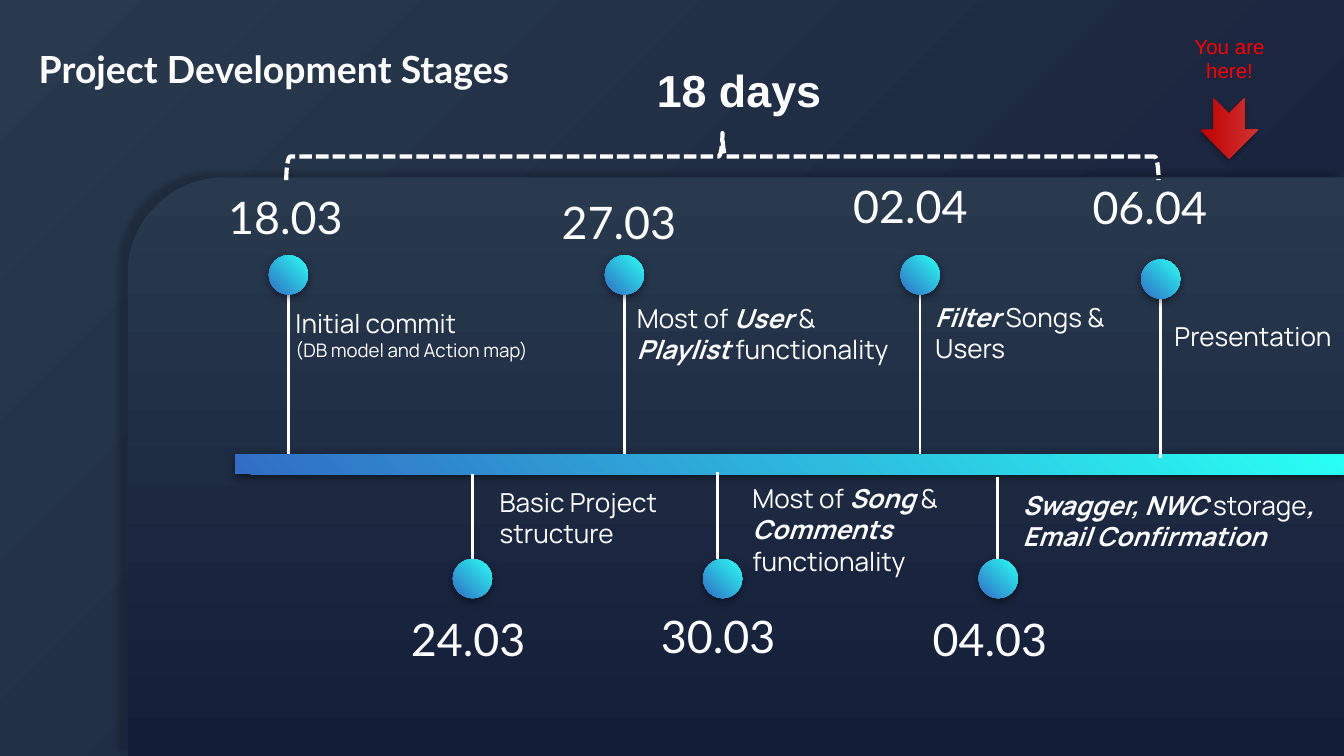
from lxml import etree
from pptx import Presentation
from pptx.dml.color import RGBColor
from pptx.enum import dml, shapes, text
from pptx.oxml.ns import qn
from pptx.util import Pt

SLATE = RGBColor(0x29, 0x3A, 0x4E)
NAVY = RGBColor(0x13, 0x1D, 0x38)
BLUE = RGBColor(0x31, 0x6D, 0xC5)
CYAN = RGBColor(0x29, 0xFF, 0xF4)
CRIMSON = RGBColor(0xC0, 0x00, 0x00)
CORAL = RGBColor(0xD1, 0x33, 0x33)
RED = RGBColor(0xFF, 0x00, 0x00)
WHITE = RGBColor(0xFF, 0xFF, 0xFF)

DOT = 21
BAR_TOP, BAR_HEIGHT = 243.4, 10.8
SOFT_SHADOW = (50, 4.5, 1.5, 90)

# date, date box, dot corner, stem x, stem end, notes box, notes
MILESTONES = [
    ("18.03", (115.2, 94.3, 77), (144, 136.8), 154.5, BAR_TOP,
     (151.2, 157.7, 159), ["Initial commit", "(DB model and Action map)"]),
    ("27.03", (293.8, 97.2, 80), (324, 136.8), 334.5, BAR_TOP,
     (334.1, 154.8, 159), ["Most of *User* & *Playlist* functionality"]),
    ("02.04", (450, 88.6, 88), (482.4, 136.8), 492.9, BAR_TOP,
     (493.9, 154.1, 109), ["*Filter* Songs & Users"]),
    ("06.04", (578.2, 89.3, 88), (611.3, 139), 621.8, 245.5,
     (622.1, 164.2, 109), ["Presentation"]),
    ("24.03", (213.1, 320.4, 80), (242.6, 299.5), 253.1, 254.2,
     (260.6, 253.4, 107), ["Basic Project structure"]),
    ("30.03", (347, 319, 80), (376.6, 299.5), 384.5, 252.7,
     (396, 251.3, 125), ["Most of *Song* & *Comments* functionality"]),
    ("04.03", (492.5, 320.4, 84), (524.2, 299.5), 534.5, 255.6,
     (540.7, 254.9, 182), ["*Swagger, NWC *storage*, Email Confirmation*"]),
]


def gradient(fill, start, end, clockwise):
    fill.gradient()
    fill.gradient_angle = (360 - clockwise) % 360
    for stop, color in zip(fill.gradient_stops, (start, end)):
        stop.color.rgb = color


def add_shadow(s, alpha, blur, dist, angle):
    effects = s._element.spPr.find(qn("a:effectLst"))
    shadow = etree.SubElement(effects, qn("a:outerShdw"), blurRad=str(Pt(blur)),
                              dist=str(Pt(dist)), dir=str(angle * 60000),
                              algn="bl", rotWithShape="0")
    color = etree.SubElement(shadow, qn("a:srgbClr"), val="000000")
    etree.SubElement(color, qn("a:alpha"), val=str(alpha * 1000))


def add_shape(kind, x, y, w, h, colors=None, angle=0, shadow=None):
    s = slide.shapes.add_shape(kind, Pt(x), Pt(y), Pt(w), Pt(h))
    s.shadow.inherit = False
    if colors:
        gradient(s.fill, *colors, angle)
        s.line.fill.background()
    else:
        s.fill.background()
    if shadow:
        add_shadow(s, *shadow)
    return s


def add_line(x, y1, y2):
    s = slide.shapes.add_connector(shapes.MSO_CONNECTOR.STRAIGHT,
                                   Pt(x), Pt(y1), Pt(x), Pt(y2))
    s.line.color.rgb = WHITE
    s.line.width = Pt(1.5)
    etree.SubElement(s._element.spPr, qn("a:effectLst"))


def add_text(lines, x, y, w, h, font, sizes, color=WHITE, bold=None,
             align=text.PP_ALIGN.LEFT, inset=(7.2, 7.2)):
    tf = slide.shapes.add_textbox(Pt(x), Pt(y), Pt(w), Pt(h)).text_frame
    tf.word_wrap = True
    tf.margin_left = tf.margin_right = Pt(inset[0])
    tf.margin_top = tf.margin_bottom = Pt(inset[1])
    for i, (line, size) in enumerate(zip(lines, sizes)):
        p = tf.add_paragraph() if i else tf.paragraphs[0]
        p.alignment = align
        p.font.name, p.font.size, p.font.bold = font, Pt(size), bold
        p.font.color.rgb = color
        for j, part in enumerate(line.split("*")):
            if part:
                r = p.add_run()
                r.text = part
                if j % 2:
                    r.font.bold = r.font.italic = True


prs = Presentation()
prs.slide_width, prs.slide_height = Pt(720), Pt(405)
slide = prs.slides.add_slide(prs.slide_layouts[6])
gradient(slide.background.fill, SLATE, NAVY, 45)

KIND = shapes.MSO_SHAPE
panel = add_shape(KIND.ROUND_1_RECTANGLE, 68.4, 95, 651.6, 310,
                  (SLATE, NAVY), 90, (18, 2.2, 5.2, 205))
panel.adjustments[0] = 0.167
panel._element.spPr.xfrm.set("flipH", "1")

add_text(["Project Development Stages"], 13.7, 17.3, 363, 42, "Lato", [20], bold=True)
add_shape(KIND.RECTANGLE, 126, BAR_TOP, 594, BAR_HEIGHT,
          (BLUE, CYAN), 315, SOFT_SHADOW)

for date, date_box, (x, y), stem_x, stem_end, notes_box, notes in MILESTONES:
    add_line(stem_x, y + DOT if y < BAR_TOP else y, stem_end)
    add_shape(KIND.OVAL, x, y, DOT, DOT, (BLUE, CYAN), 315, SOFT_SHADOW)
    add_text([date], *date_box, 42, "Lato", [24])
    add_text(notes, *notes_box, 45, "Manrope", [14, 10])

add_text(["18 days"], 308.9, 30.2, 174, 36, "Arial", [24], bold=True,
         align=text.PP_ALIGN.CENTER, inset=(7.2, 3.6))
brace = add_shape(KIND.LEFT_BRACE, 374.4, -149.8, 25.2, 467.3)
brace.rotation = 90
brace.line.color.rgb = WHITE
brace.line.width = Pt(2.25)
brace.line.dash_style = dml.MSO_LINE.SQUARE_DOT

arrow = add_shape(KIND.NOTCHED_RIGHT_ARROW, 642.2, 53.3, 32.4, 31,
                  (CRIMSON, CORAL), 0, (35, 3.1, 1.8, 90))
arrow.rotation = 90
arrow.adjustments[0], arrow.adjustments[1] = 0.535, 0.5
arrow._element.spPr.find(qn("a:gradFill")).set("rotWithShape", "0")
add_text(["You are here!"], 631.4, 14.4, 54.7, 34, "Arial", [11], RED,
         align=text.PP_ALIGN.CENTER, inset=(7.2, 3.6))

prs.save("out.pptx")
